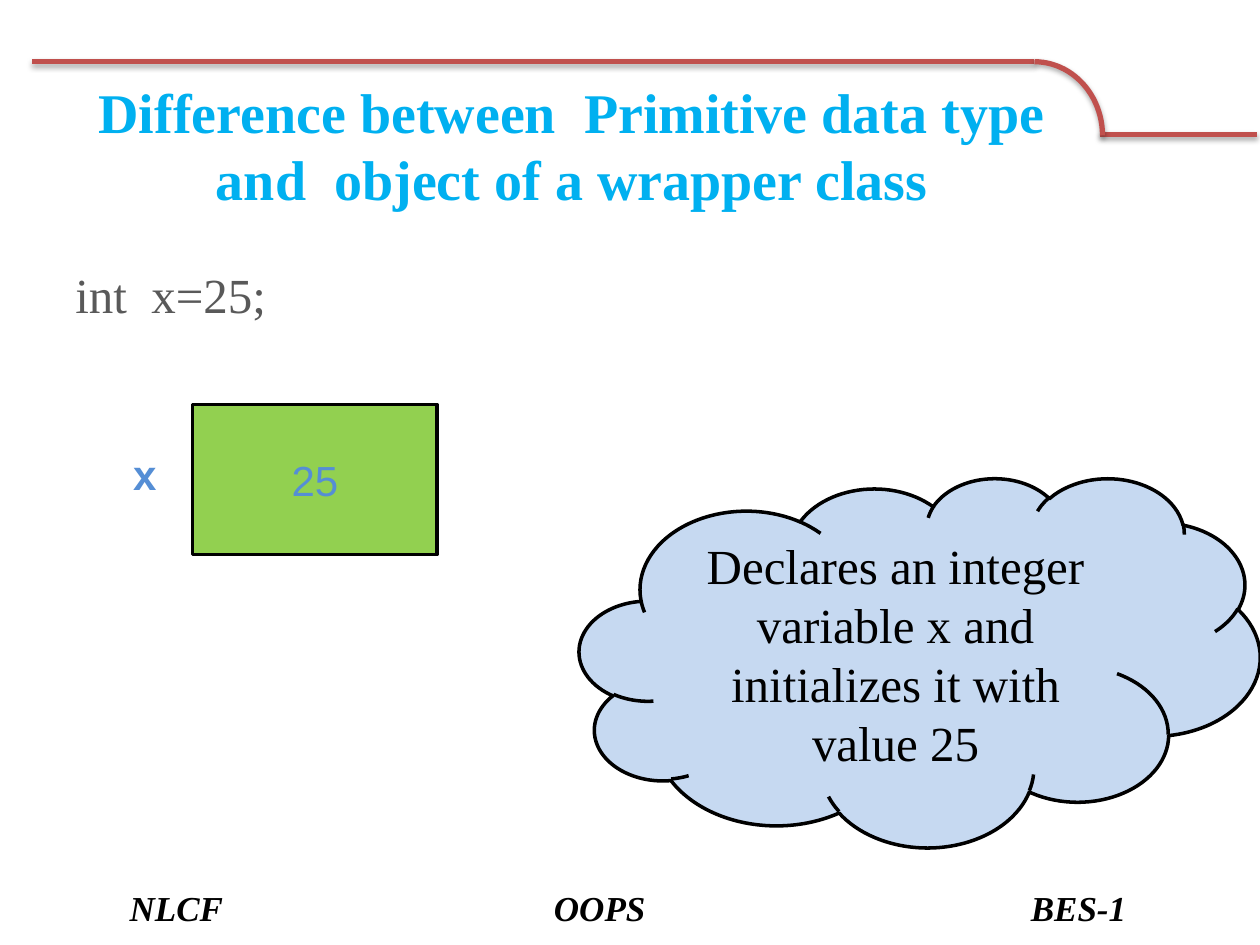
from pptx import Presentation
from pptx.dml.color import RGBColor
from pptx.enum import shapes as sh, text as tx
from pptx.oxml import parse_xml
from pptx.oxml.ns import nsdecls
from pptx.util import Inches, Pt

RED = RGBColor(0xC0, 0x50, 0x4D)
CYAN = RGBColor(0x00, 0xB0, 0xF0)
GRAY = RGBColor(0x59, 0x59, 0x59)
BLUE = RGBColor(0x55, 0x8E, 0xD5)
GREEN = RGBColor(0x92, 0xD0, 0x50)
PALE = RGBColor(0xC6, 0xD9, 0xF1)
BLACK = RGBColor(0, 0, 0)
SERIF = "Times New Roman"
MID, LEFT = tx.PP_ALIGN.CENTER, tx.PP_ALIGN.LEFT

deck = Presentation()
deck.slide_width, deck.slide_height = Inches(10), Inches(7.5)
slide = deck.slides.add_slide(deck.slide_layouts[6])
items = slide.shapes


def write(words, box=None, shape=None, size=28, font=SERIF, color=BLACK,
          bold=False, italic=False, align=MID):
    """Put formatted words in a shape, or in a new text box."""
    if shape is None:
        shape = items.add_textbox(*map(Inches, box))
    frame = shape.text_frame
    frame.word_wrap = True
    frame.vertical_anchor = tx.MSO_ANCHOR.MIDDLE
    par = frame.paragraphs[0]
    par.alignment = align
    run = par.add_run()
    run.text = words
    run.font.size, run.font.name = Pt(size), font
    run.font.bold, run.font.italic = bold, italic
    run.font.color.rgb = color


def trim(part):
    """Give a header line its red stroke and soft shadow."""
    part.line.color.rgb = RED
    part.line.width = Pt(3)
    part._element.spPr.append(parse_xml(
        f'<a:effectLst {nsdecls("a")}><a:outerShdw blurRad="{Pt(3.1)}" '
        f'dist="{Pt(1.8)}" dir="5400000" rotWithShape="0">'
        '<a:srgbClr val="000000"><a:alpha val="35000"/></a:srgbClr>'
        '</a:outerShdw></a:effectLst>'))


# Header rule: two lines joined by an arc
for x1, x2, y in [(8.73, 9.98, 1.07), (8.21, 0.25, 0.49)]:
    trim(items.add_connector(sh.MSO_CONNECTOR.STRAIGHT,
                             Inches(x1), Inches(y), Inches(x2), Inches(y)))
arc = items.add_shape(sh.MSO_SHAPE.ARC, Inches(7.67), Inches(0.49),
                      Inches(1.08), Inches(1.17))
arc.fill.background()
trim(arc)

# Title, declaration and variable name
write("Difference between  Primitive data type and  object of a wrapper class",
      (0.5, 0.53, 8.08, 1.24), size=32, color=CYAN, bold=True)
write("int  x=25;", (0.5, 2.03, 9.33, 0.6), color=GRAY, align=LEFT)
write("x", (0.9, 3.51, 0.5, 0.5), size=24, font="Arial", color=BLUE, bold=True)

# Memory cell and explanation cloud
for kind, box, fill, words, style in [
        (sh.MSO_SHAPE.RECTANGLE, (1.53, 3.21, 1.94, 1.19), GREEN, "25",
         dict(size=24, font="Arial", color=BLUE)),
        (sh.MSO_SHAPE.CLOUD, (4.6, 3.79, 5.4, 2.93), PALE,
         "Declares an integer variable x and initializes it with value 25", {})]:
    shape = items.add_shape(kind, *map(Inches, box))
    shape.shadow.inherit = False
    shape.fill.solid()
    shape.fill.fore_color.rgb = fill
    shape.line.color.rgb = BLACK
    shape.line.width = Pt(2)
    write(words, shape=shape, **style)

# Footer
for words, mid in [("NLCF", 1.4), ("OOPS", 4.76), ("BES-1", 8.56)]:
    write(words, (mid - 0.75, 6.98, 1.5, 0.45), size=20, bold=True, italic=True)

deck.save("out.pptx")
